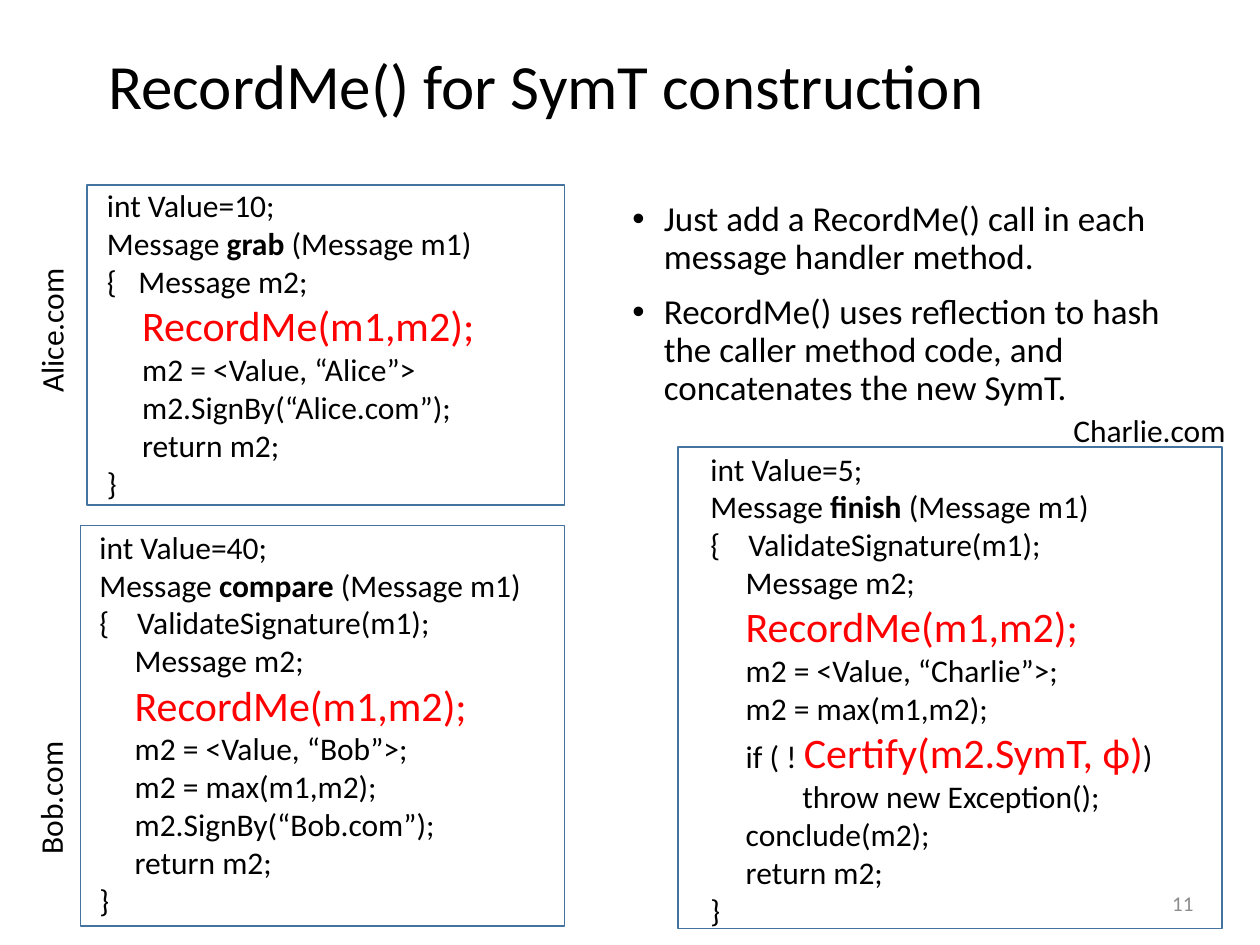
import pptx
import pptx.util
import pptx.dml.color
import pptx.enum.text
import pptx.enum.shapes
import pptx.oxml.ns
import lxml.etree

Inches, Pt = pptx.util.Inches, pptx.util.Pt
Align, Anchor = pptx.enum.text.PP_ALIGN, pptx.enum.text.MSO_ANCHOR

THEME = {
    "font": "Calibri",
    "ink": "000000", "accent": "FF0000", "frame": "43739E", "muted": "8C8C8C",
    "title": 36, "bullet": 20, "code": 18, "call": 24, "number": 12,
}
COLUMNS, ROWS = 100, 75
STEP = 0.28
DEEP = 0.73

HEADING = "RecordMe() for SymT construction"
POINTS = [
    "Just add a RecordMe() call in each message handler method.",
    "RecordMe() uses reflection to hash the caller method code, and concatenates the new SymT.",
]
RECORD = (STEP, 0, [("RecordMe(m1,m2);", "call")])


def signature(method):
    return (0, 0, [("Message ", "code"), (method, "strong"), (" (Message m1)", "code")])


def opening(statement, gap):
    return (gap, -gap, [("{\t" + statement, "code")])


def body(*statements):
    return [(STEP, 0, [(statement, "code")]) for statement in statements]


def flush(statement):
    return (0, 0, [(statement, "code")])


SITES = [
    {
        "host": "Alice.com", "host_at": (-4.7, 21.4, 17.5, 4), "turn": 270,
        "frame_at": (6.9, 14.7, 37.9, 25.4), "code_at": (7.5, 14.3, 35.5, 26.3),
        "code": [flush("int Value=10;"), signature("grab"), opening("Message m2;", 0.25), RECORD,
                 *body("m2 = <Value, “Alice”>", "m2.SignBy(“Alice.com”);", "return m2;"),
                 flush("}")],
    },
    {
        "host": "Charlie.com", "host_at": (84.2, 32.1, 15.4, 4), "turn": 0,
        "frame_at": (53.8, 35.5, 43.2, 38.2), "code_at": (55.4, 35.2, 40.1, 39.4),
        "code": [flush("int Value=5;"), signature("finish"),
                 opening("ValidateSignature(m1);", 0.3), *body("Message m2;"), RECORD,
                 *body("m2 = <Value, “Charlie”>;", "m2 = max(m1,m2);"),
                 (STEP, 0, [("if ( ! ", "code"), ("Certify(m2.SymT, ϕ)", "call"), (")", "code")]),
                 (DEEP, 0, [("throw new Exception();", "code")]),
                 *body("conclude(m2);", "return m2;"), flush("}")],
    },
    {
        "host": "Bob.com", "host_at": (-8.9, 53.9, 25.8, 4), "turn": 270,
        "frame_at": (6.4, 41.7, 38.4, 31.8), "code_at": (6.9, 41.4, 36.1, 32.3),
        "code": [flush("int Value=40;"), signature("compare"),
                 opening("ValidateSignature(m1);", 0.3), *body("Message m2;"), RECORD,
                 *body("m2 = <Value, “Bob”>;", "m2 = max(m1,m2);",
                       "m2.SignBy(“Bob.com”);", "return m2;"),
                 flush("}")],
    },
]
HEADING_AT = (7.6, 1.9, 92.1, 10.4)
POINTS_AT = (49.2, 15.5, 47.9, 20)
NUMBER_AT = (73.2, 69.7, 22.5, 4)

STYLES = {
    "title": {"size": "title", "color": "ink"},
    "bullet": {"size": "bullet", "color": "ink"},
    "code": {"size": "code", "color": "ink"},
    "strong": {"size": "code", "color": "ink", "bold": True},
    "call": {"size": "call", "color": "accent"},
    "number": {"size": "number", "color": "muted"},
}

deck = pptx.Presentation()
deck.slide_width, deck.slide_height = Inches(10), Inches(7.5)
slide = deck.slides.add_slide(deck.slide_layouts[5])


def assign(target, values):
    for name, value in values.items():
        setattr(target, name, value)


def place(at):
    left, top, width, height = at
    across, down = deck.slide_width / COLUMNS, deck.slide_height / ROWS
    return [round(left * across), round(top * down), round(width * across), round(height * down)]


def colour(name):
    return pptx.dml.color.RGBColor.from_string(THEME[name])


def write(frame, lines, paragraph_format=None, anchor=Anchor.TOP):
    assign(frame, {"word_wrap": True, "vertical_anchor": anchor,
                   "auto_size": pptx.enum.text.MSO_AUTO_SIZE.NONE})
    for index, (margin, indent, runs) in enumerate(lines):
        paragraph = frame.paragraphs[0] if index == 0 else frame.add_paragraph()
        assign(paragraph, {"alignment": Align.LEFT, **(paragraph_format or {})})
        if margin:
            properties = paragraph._p.get_or_add_pPr()
            properties.set("marL", str(Inches(margin)))
            properties.set("indent", str(Inches(indent)))
        for words, style in runs:
            look = STYLES[style]
            run = paragraph.add_run()
            run.text = words
            assign(run.font, {"name": THEME["font"], "size": Pt(THEME[look["size"]]),
                              "bold": look.get("bold", False)})
            run.font.color.rgb = colour(look["color"])


def add_text(at, lines, turn=0, **layout):
    box = slide.shapes.add_textbox(*place(at))
    box.rotation = turn
    write(box.text_frame, lines, **layout)
    return box


heading = slide.shapes.title
assign(heading, dict(zip(("left", "top", "width", "height"), place(HEADING_AT))))
write(heading.text_frame, [(0, 0, [(HEADING, "title")])], {"line_spacing": 0.9}, Anchor.MIDDLE)

for site in SITES:
    frame = slide.shapes.add_shape(pptx.enum.shapes.MSO_SHAPE.RECTANGLE, *place(site["frame_at"]))
    frame.shadow.inherit = False
    frame.fill.background()
    frame.line.color.rgb = colour("frame")
    frame.line.width = Pt(1)
    add_text(site["host_at"], [flush(site["host"])], site["turn"])
    add_text(site["code_at"], site["code"])

points = add_text(POINTS_AT, [(0.25, -0.25, [(point, "bullet")]) for point in POINTS],
                  paragraph_format={"line_spacing": 0.9, "space_before": Pt(10)})
for paragraph in points.text_frame.paragraphs:
    properties = paragraph._p.get_or_add_pPr()
    for tag, attributes in (("a:buFont", {"typeface": "Arial"}), ("a:buChar", {"char": "•"})):
        lxml.etree.SubElement(properties, pptx.oxml.ns.qn(tag), attributes)

add_text(NUMBER_AT, [(0, 0, [("11", "number")])],
         paragraph_format={"alignment": Align.RIGHT}, anchor=Anchor.MIDDLE)

deck.save("out.pptx")
